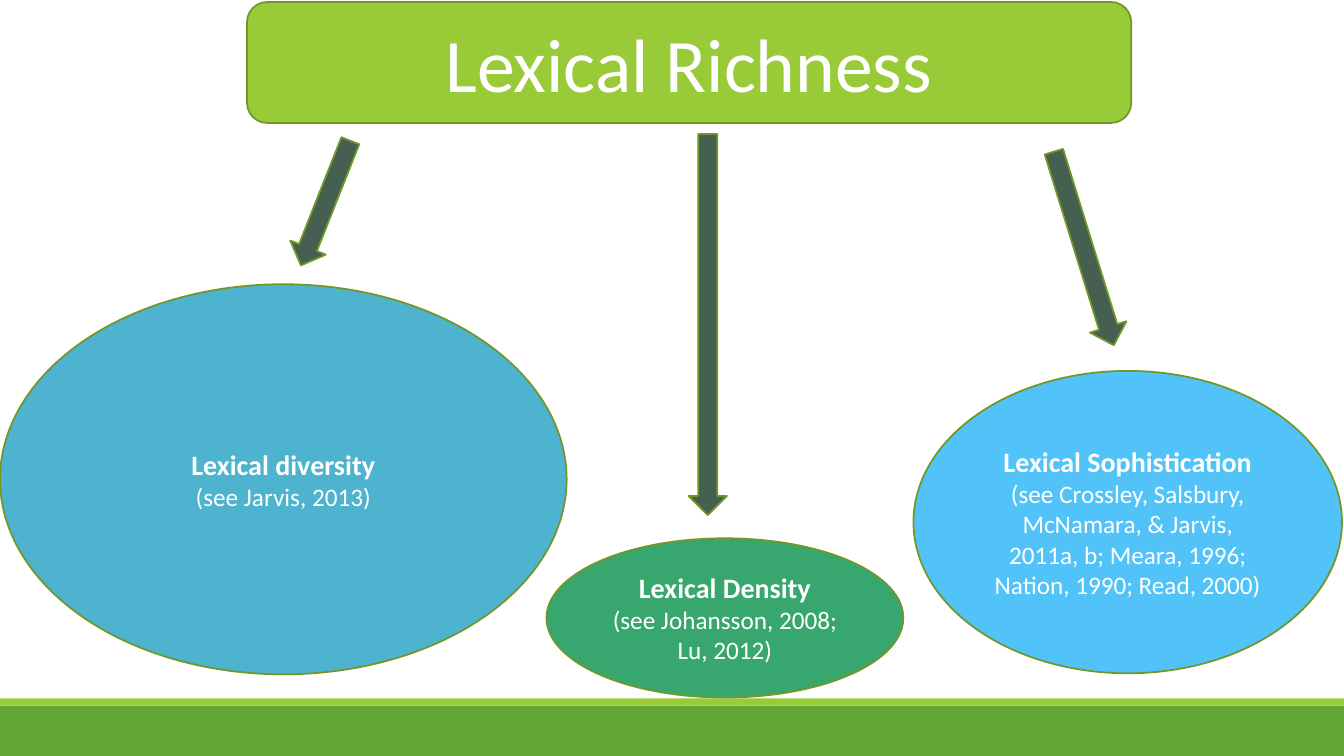
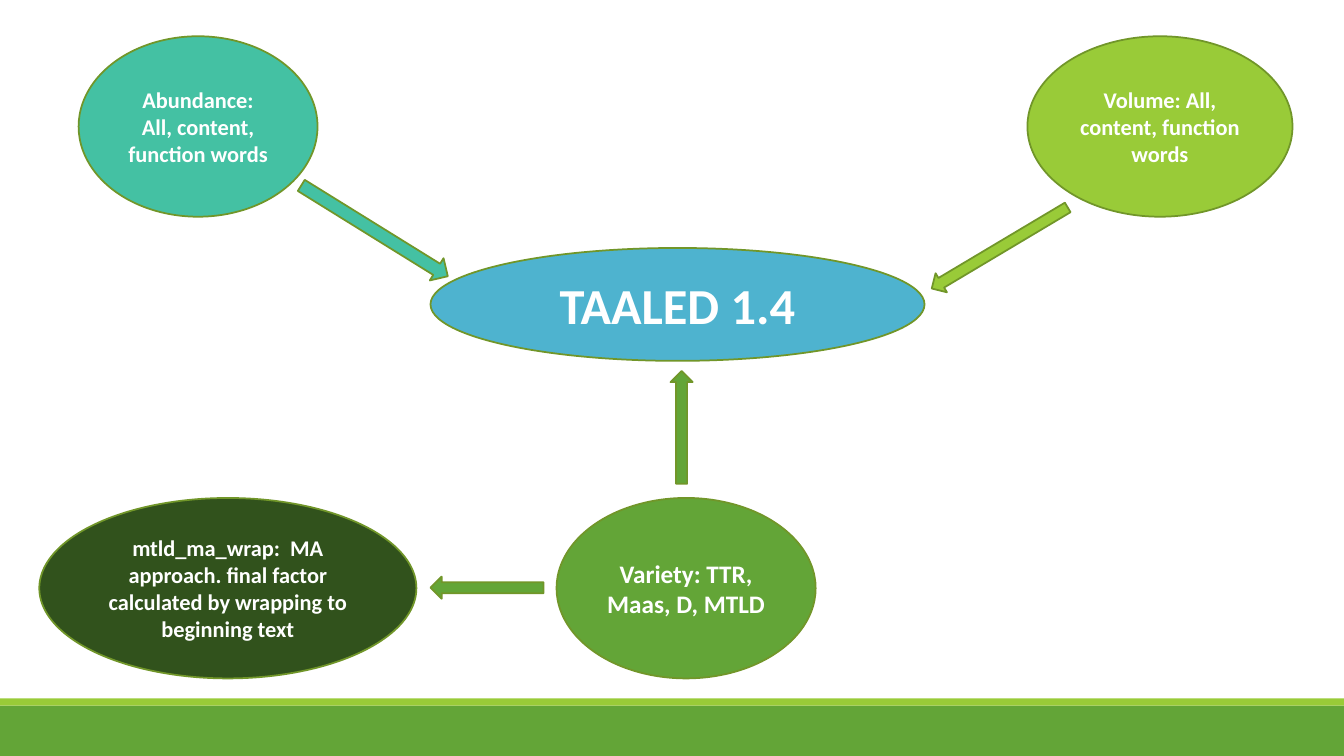
from dataclasses import dataclass

from pptx import Presentation
from pptx.dml.color import RGBColor
from pptx.enum.shapes import MSO_SHAPE as Preset
from pptx.enum.text import MSO_ANCHOR as Anchor, PP_ALIGN as Align
from pptx.shapes.autoshape import Shape
from pptx.slide import Slide
from pptx.util import Inches, Pt

COLORS = {
    "white": "FFFFFF",
    "lime": "99CB38",
    "green": "63A537",
    "outline": "719629",
    "slate": "455F51",
    "blue": "4EB3CF",
    "emerald": "37A76F",
    "sky": "51C3F9",
    "teal": "44C1A3",
    "forest": "31521C",
}
FONT = "Calibri"
SLIDE_WIDTH, SLIDE_HEIGHT = 13.33, 7.5
OUTLINE_WIDTH = 1.25


@dataclass(frozen=True)
class Box:
    left: float
    top: float
    width: float
    height: float


@dataclass(frozen=True)
class Line:
    text: str
    size: int
    bold: bool = True


@dataclass(frozen=True)
class Node:
    box: Box
    color: str
    lines: tuple[Line, ...]
    preset: Preset = Preset.OVAL


@dataclass(frozen=True)
class Arrow:
    box: Box
    color: str
    preset: Preset
    rotation: float = 0


BANDS = (
    (Box(0, 7, SLIDE_WIDTH, 0.5), "green"),
    (Box(0, 6.93, SLIDE_WIDTH, 0.07), "lime"),
)

RICHNESS_ARROWS = tuple(
    Arrow(Box(left, top, 0.38, length), "slate", Preset.DOWN_ARROW, rotation)
    for left, top, length, rotation in (
        (3.04, 1.35, 1.33, 21.6),
        (6.83, 1.33, 3.78, 0),
        (10.56, 1.46, 2.01, 342.8),
    )
)

RICHNESS_NODES = (
    Node(
        Box(2.45, 0.02, 8.77, 1.2),
        "lime",
        (Line("Lexical Richness", 54, False),),
        Preset.ROUNDED_RECTANGLE,
    ),
) + tuple(
    Node(box, color, (Line(heading, 20), Line(citation, 18, False)))
    for box, color, heading, citation in (
        (Box(0, 2.82, 5.62, 3.87), "blue", "Lexical diversity", "(see Jarvis, 2013)"),
        (
            Box(5.42, 5.34, 3.54, 1.58),
            "emerald",
            "Lexical Density",
            "(see Johansson, 2008; Lu, 2012)",
        ),
        (
            Box(9.06, 3.68, 4.25, 3),
            "sky",
            "Lexical Sophistication",
            "(see Crossley, Salsbury, McNamara, & Jarvis, 2011a, b; "
            "Meara, 1996; Nation, 1990; Read, 2000)",
        ),
    )
)

INDEX_NODES = (
    Node(Box(4.27, 2.46, 4.9, 1.12), "blue", (Line("TAALED 1.4", 36),)),
    Node(Box(5.52, 4.94, 2.57, 1.79), "green", (Line("Variety: TTR, Maas, D, MTLD", 18),)),
    Node(
        Box(10.19, 0.36, 2.63, 1.79),
        "lime",
        (Line("Volume: All, content, function words", 16),),
    ),
    Node(
        Box(0.78, 0.36, 2.37, 1.79),
        "teal",
        (Line("Abundance:", 16), Line("All, content, function words", 16)),
    ),
    Node(
        Box(0.39, 4.94, 3.74, 1.79),
        "forest",
        (
            Line(
                "mtld_ma_wrap:  MA approach. final factor calculated "
                "by wrapping to beginning text",
                16,
            ),
        ),
    ),
)

INDEX_ARROWS = tuple(
    Arrow(box, color, Preset.RIGHT_ARROW, rotation)
    for box, color, rotation in (
        (Box(2.86, 2.16, 1.71, 0.26), "teal", 31.8),
        (Box(6.2, 4.13, 1.12, 0.22), "green", 270),
        (Box(9.13, 2.35, 1.57, 0.22), "lime", 149.2),
        (Box(4.27, 5.72, 1.12, 0.22), "green", 180),
    )
)


def rgb(name: str) -> RGBColor:
    return RGBColor.from_string(COLORS[name])


def add_filled_shape(
    slide: Slide, preset: Preset, box: Box, color: str, outlined: bool = True
) -> Shape:
    shape = slide.shapes.add_shape(
        preset, Inches(box.left), Inches(box.top), Inches(box.width), Inches(box.height)
    )
    shape.shadow.inherit = False
    shape.fill.solid()
    shape.fill.fore_color.rgb = rgb(color)
    if outlined:
        shape.line.color.rgb = rgb("outline")
        shape.line.width = Pt(OUTLINE_WIDTH)
    else:
        shape.line.fill.background()
    return shape


def add_node(slide: Slide, node: Node) -> None:
    shape = add_filled_shape(slide, node.preset, node.box, node.color)
    frame = shape.text_frame
    frame.word_wrap = True
    frame.vertical_anchor = Anchor.MIDDLE
    for index, line in enumerate(node.lines):
        paragraph = frame.add_paragraph() if index else frame.paragraphs[0]
        paragraph.alignment = Align.CENTER
        run = paragraph.add_run()
        run.text = line.text
        run.font.name = FONT
        run.font.size = Pt(line.size)
        run.font.bold = line.bold
        run.font.color.rgb = rgb("white")


def add_arrow(slide: Slide, arrow: Arrow) -> None:
    shape = add_filled_shape(slide, arrow.preset, arrow.box, arrow.color)
    shape.rotation = arrow.rotation


def add_diagram_slide(
    presentation: Presentation, nodes: tuple[Node, ...], arrows: tuple[Arrow, ...]
) -> None:
    slide = presentation.slides.add_slide(presentation.slide_layouts[6])
    for box, color in BANDS:
        add_filled_shape(slide, Preset.RECTANGLE, box, color, outlined=False)
    for node in nodes:
        add_node(slide, node)
    for arrow in arrows:
        add_arrow(slide, arrow)


def main() -> None:
    presentation = Presentation()
    presentation.slide_width = Inches(SLIDE_WIDTH)
    presentation.slide_height = Inches(SLIDE_HEIGHT)
    add_diagram_slide(presentation, RICHNESS_NODES, RICHNESS_ARROWS)
    add_diagram_slide(presentation, INDEX_NODES, INDEX_ARROWS)
    presentation.save("out.pptx")


if __name__ == "__main__":
    main()
